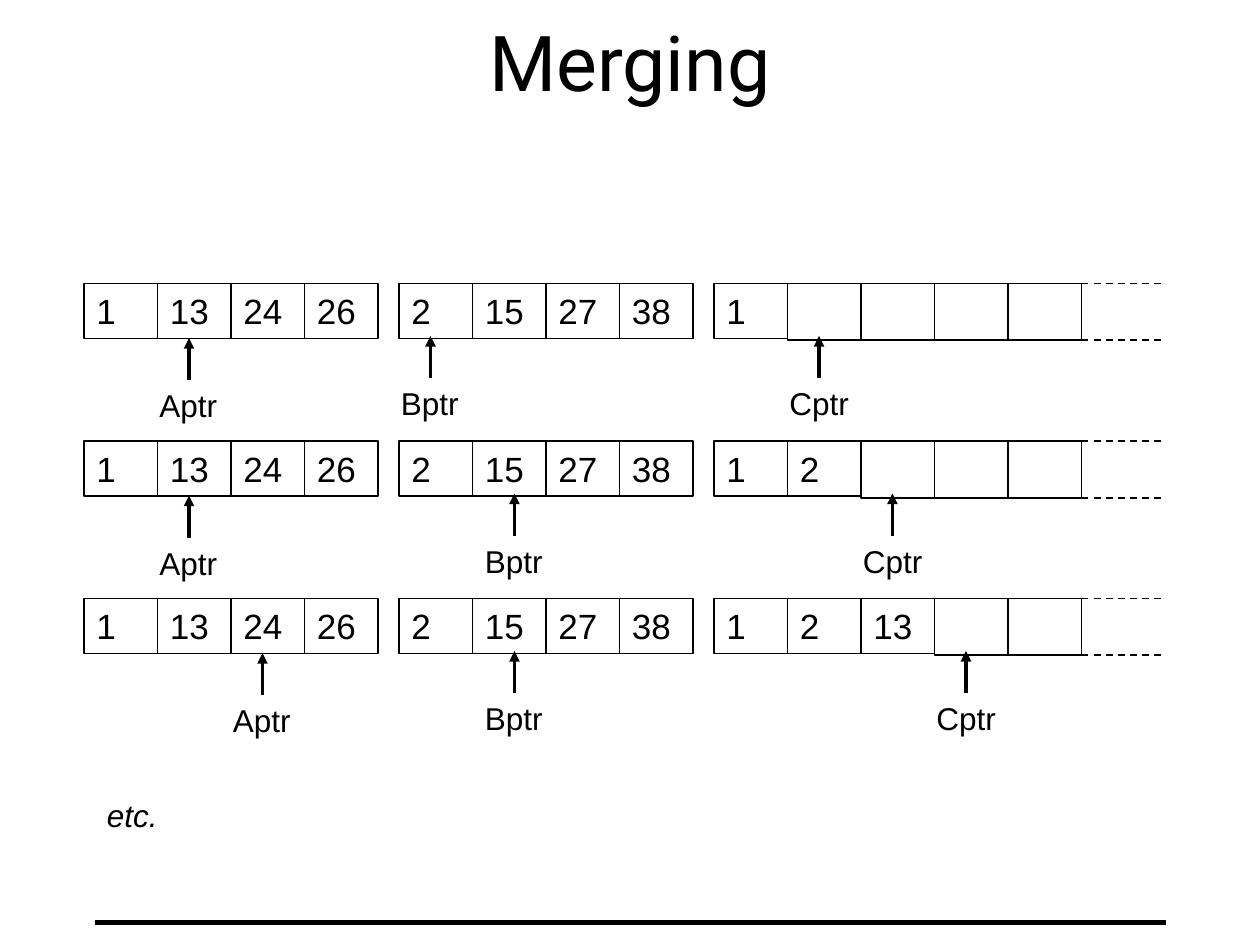
from pptx import Presentation
from pptx.dml.color import RGBColor
from pptx.enum.dml import MSO_LINE
from pptx.enum.shapes import MSO_CONNECTOR, MSO_SHAPE
from pptx.enum.text import MSO_ANCHOR, PP_ALIGN
from pptx.oxml.ns import qn
from pptx.util import Pt
from lxml.etree import SubElement

BLACK = RGBColor(0, 0, 0)

LIST_A = [1, 13, 24, 26]
LIST_B = [2, 15, 27, 38]
OUT_SIZE = 5
# Each step: merged output, then cell index and nudge of each pointer
STEPS = [
    ([1], {"Aptr": (1, 0), "Bptr": (0, 0), "Cptr": (1, 0)}),
    ([1, 2], {"Aptr": (1, 0), "Bptr": (1, 6), "Cptr": (2, 0)}),
    ([1, 2, 13], {"Aptr": (2, 0), "Bptr": (1, 6), "Cptr": (3, 0)}),
]
# Left edge of each array, and drop of its pointer
ARRAYS = {"Aptr": (48, 1.2), "Bptr": (228, 0), "Cptr": (408, 0)}

TOP, PITCH = 162, 90
CELL, FULL, EMPTY = 42, 31.5, 32.4
LEFT, RIGHT = 54, 666

deck = Presentation()
deck.slide_width, deck.slide_height = Pt(720), Pt(540)
slide = deck.slides.add_slide(deck.slide_layouts[6])
shapes = slide.shapes


def write(shape, text, size=18, font="Arial", italic=False,
          align=PP_ALIGN.LEFT, anchor=MSO_ANCHOR.TOP):
    frame = shape.text_frame
    frame.word_wrap = True
    frame.vertical_anchor = anchor
    para = frame.paragraphs[0]
    para.text = text
    para.alignment = align
    para.font.size = Pt(size)
    para.font.name = font
    para.font.italic = italic
    para.font.color.rgb = BLACK


def label(text, x, y, w=60, h=28.8, **style):
    write(shapes.add_textbox(Pt(x), Pt(y), Pt(w), Pt(h)), text, **style)


def line(x1, y1, x2, y2, width=1, dash=False, arrow=False):
    link = shapes.add_connector(MSO_CONNECTOR.STRAIGHT,
                                Pt(x1), Pt(y1), Pt(x2), Pt(y2))
    link.line.color.rgb = BLACK
    link.line.width = Pt(width)
    if dash:
        link.line.dash_style = MSO_LINE.DASH
    if arrow:
        SubElement(link.line._get_or_add_ln(), qn("a:tailEnd"), type="triangle")
    SubElement(link._element.spPr, qn("a:effectLst"))


def row(values, x, y):
    """Draw adjoining cells; None leaves a cell empty."""
    for i, value in enumerate(values):
        high = EMPTY if value is None else FULL
        box = shapes.add_shape(MSO_SHAPE.RECTANGLE, Pt(x + i * CELL), Pt(y),
                               Pt(CELL), Pt(high))
        box.shadow.inherit = False
        box.fill.background()
        box.line.color.rgb = BLACK
        box.line.width = Pt(1)
        if value is not None:
            write(box, str(value), size=20)


line(LEFT, 527, RIGHT, 527, width=3)
label("Merging", LEFT, 0, RIGHT - LEFT, 69, size=44, font="Roboto",
      align=PP_ALIGN.CENTER, anchor=MSO_ANCHOR.MIDDLE)

for n, (merged, marks) in enumerate(STEPS):
    y = TOP + n * PITCH
    output = merged + [None] * (OUT_SIZE - len(merged))
    for values, (x, _) in zip((LIST_A, LIST_B, output), ARRAYS.values()):
        row(values, x, y)

    end = ARRAYS["Cptr"][0] + OUT_SIZE * CELL
    for edge in (y, y + EMPTY):
        line(end, edge, RIGHT, edge, dash=True)

    for name, (index, nudge) in marks.items():
        start, drop = ARRAYS[name]
        x = start + index * CELL - 6 + nudge
        base = y + 54 + drop
        label(name, x, base)
        line(x + 24, base, x + 24, base - 24, width=2, arrow=True)

label("etc.", LEFT, 451.2, italic=True)

deck.save("out.pptx")
